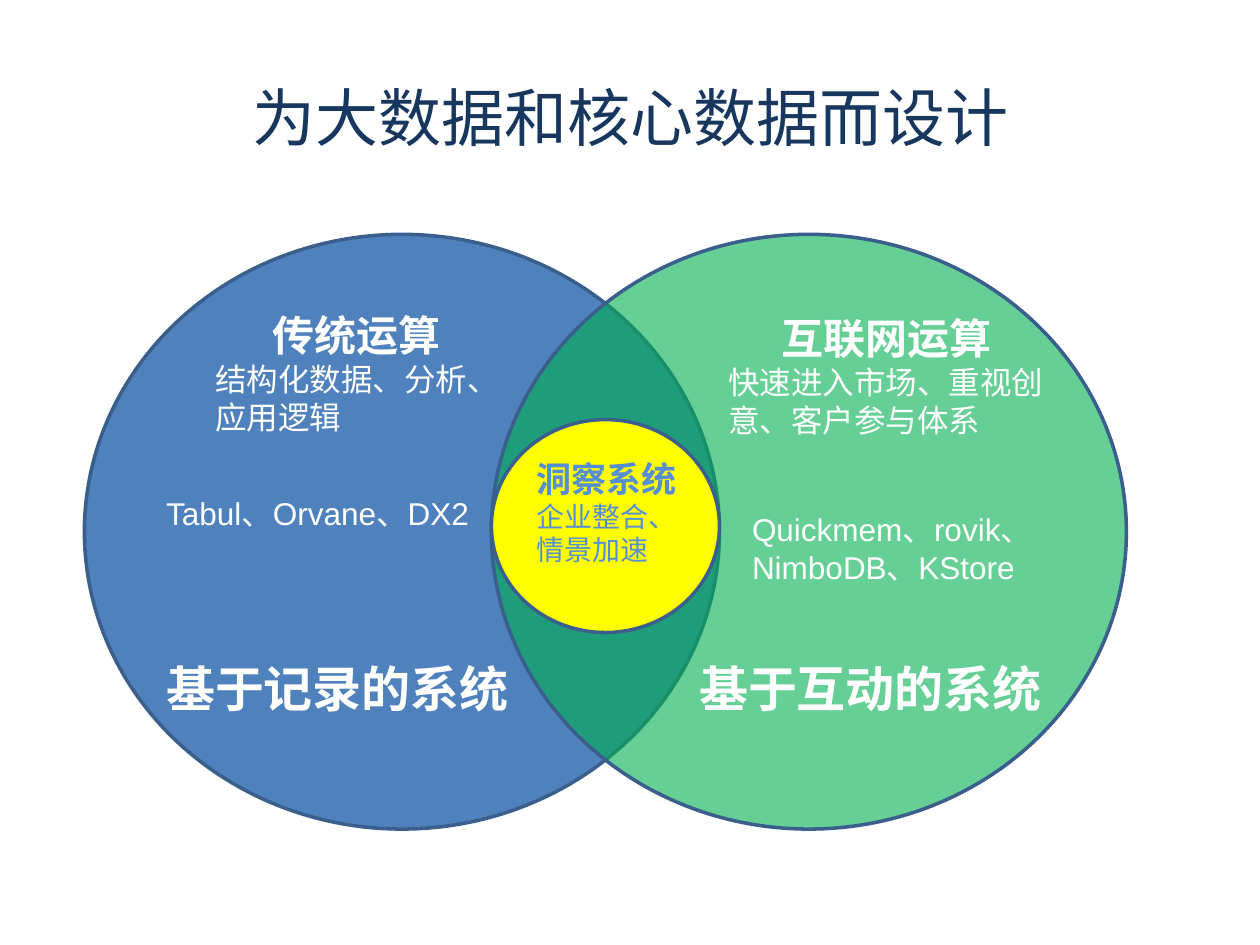
from pptx import Presentation
from pptx.dml.color import RGBColor
from pptx.enum.shapes import MSO_SHAPE
from pptx.enum.text import MSO_ANCHOR, PP_ALIGN
from pptx.oxml.ns import qn
from pptx.util import Inches, Pt
from lxml import etree

OVAL = MSO_SHAPE.OVAL
MIDDLE = MSO_ANCHOR.MIDDLE
LEFT, CENTER = PP_ALIGN.LEFT, PP_ALIGN.CENTER

THEME = {
    "navy": "17375E", "blue": "4F81BD", "green": "00B050",
    "yellow": "FFFF00", "edge": "3A5F8C", "white": "FFFFFF", "sky": "558ED5",
    "title": 36, "system": 28, "head": 24, "core": 20, "body": 18, "note": 16,
    "main": "Arial", "heavy": "Noto Sans CJK JP", "top": "Calibri",
}

TITLE = "为大数据和核心数据而设计"
WIDE, TALL, TOP = 5.04, 4.72, 1.86
START, SHIFT = 0.67, 3.23
CORE_TOP, CORE_TALL = 3.33, 1.69
LENS = START + SHIFT
CIRCLES = [
    ((START, TOP, WIDE, TALL), "blue", 100),
    ((LENS, TOP, WIDE, TALL), "green", 60),
    ((LENS, CORE_TOP, WIDE - SHIFT, CORE_TALL), "yellow", 100),
]

STYLES = {
    "head": ("main", True, CENTER, "white"),
    "body": ("main", False, LEFT, "white"),
    "system": ("heavy", True, LEFT, "white"),
    "core": ("main", True, LEFT, "sky"),
    "note": ("main", False, LEFT, "sky"),
}
LABELS = [
    ((1.61, 2.41, 2.44, 1.11),
     [("head", "传统运算"), ("body", "结构化数据、分析、应用逻辑")]),
    ((1.22, 3.87, 2.68, 0.71), [("body", "Tabul、Orvane、DX2")]),
    ((1.22, 5.18, 2.99, 0.57), [("system", "基于记录的系统")]),
    ((5.68, 2.43, 2.71, 1.11),
     [("head", "互联网运算"), ("body", "快速进入市场、重视创意、客户参与体系")]),
    ((5.87, 4, 2.68, 0.71), [("body", "Quickmem、rovik、NimboDB、KStore")]),
    ((5.45, 5.18, 2.99, 0.57), [("system", "基于互动的系统")]),
    ((4.16, 3.58, 1.51, 0.98),
     [("core", "洞察系统"), ("note", "企业整合、情景加速")]),
]


def color(name):
    return RGBColor.from_string(THEME[name])


def place(box):
    return [Inches(n) for n in box]


def write(para, text, size, face, bold, align, ink):
    para.alignment = align
    run = para.add_run()
    run.text = text
    font = run.font
    font.size = Pt(THEME[size])
    font.name = THEME[face]
    font.bold = bold
    font.color.rgb = color(ink)


def add_circle(slide, box, fill, alpha):
    oval = slide.shapes.add_shape(OVAL, *place(box))
    oval.shadow.inherit = False
    oval.fill.solid()
    oval.fill.fore_color.rgb = color(fill)
    oval.line.color.rgb = color("edge")
    oval.line.width = Pt(2)
    if alpha < 100:
        tint = oval._element.spPr.find(qn("a:solidFill"))[0]
        etree.SubElement(tint, qn("a:alpha")).set("val", str(alpha * 1000))


def add_label(slide, box, lines):
    frame = slide.shapes.add_textbox(*place(box)).text_frame
    frame.word_wrap = True
    for i, (style, text) in enumerate(lines):
        para = frame.add_paragraph() if i else frame.paragraphs[0]
        write(para, text, style, *STYLES[style])


def main():
    deck = Presentation()
    deck.slide_width, deck.slide_height = Inches(10), Inches(7.5)
    slide = deck.slides.add_slide(deck.slide_layouts[5])
    title = slide.shapes.title
    title.left, title.top, title.width, title.height = place((0.5, 0.3, 9, 1.25))
    title.text_frame.vertical_anchor = MIDDLE
    write(title.text_frame.paragraphs[0], TITLE, "title", "top", False, CENTER, "navy")
    for circle in CIRCLES:
        add_circle(slide, *circle)
    for label in LABELS:
        add_label(slide, *label)
    deck.save("out.pptx")


if __name__ == "__main__":
    main()
